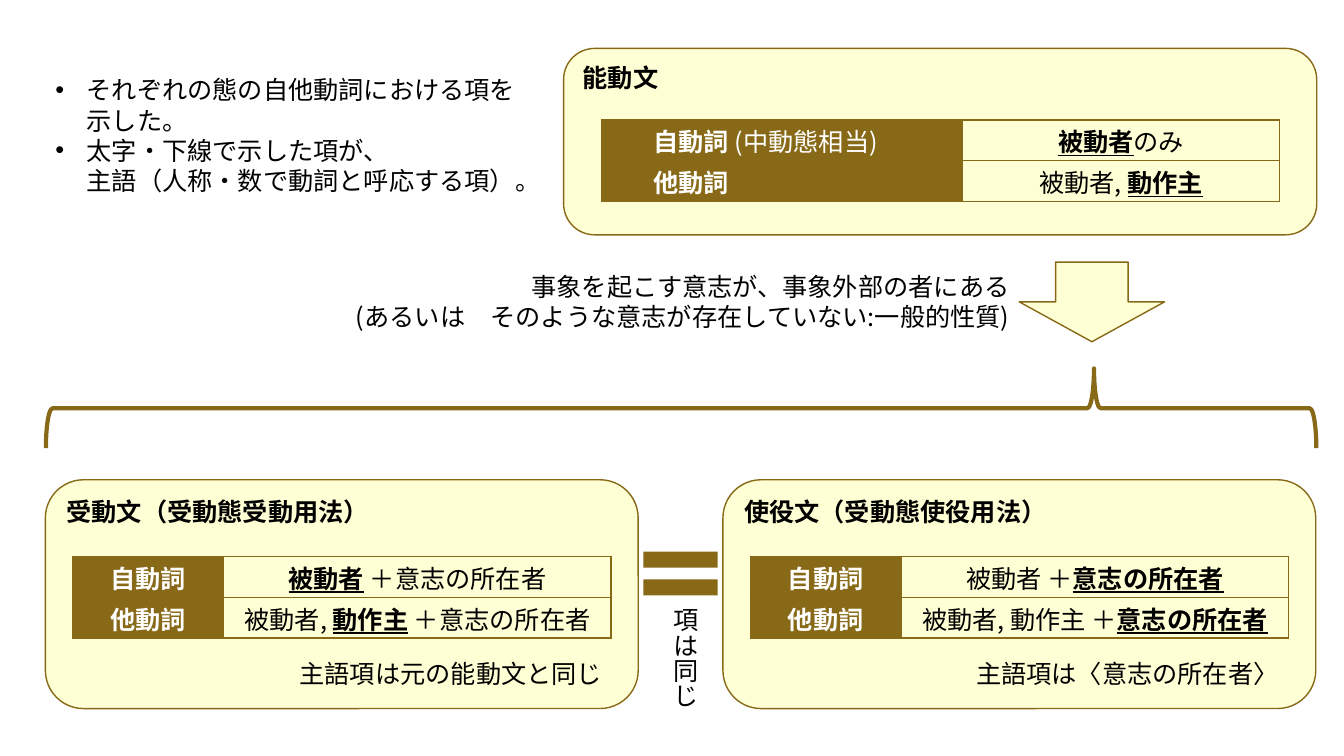
from dataclasses import dataclass

from lxml.etree import SubElement
from pptx import Presentation
from pptx.dml.color import RGBColor
from pptx.enum.shapes import MSO_SHAPE
from pptx.enum.text import MSO_ANCHOR, MSO_AUTO_SIZE, PP_ALIGN
from pptx.oxml.ns import qn
from pptx.util import Inches, Pt

COLORS = {"cream": "FFFFD5", "brown": "876917", "black": "000000", "white": "FFFFFF"}
FONT_NAME = "Noto Sans CJK JP"
FONT_SIZE = 18
RUN_STYLES = {
    "plain": {"bold": False, "underline": False, "color": "black"},
    "heading": {"bold": True, "underline": False, "color": "black"},
    "subject": {"bold": True, "underline": True, "color": "black"},
    "verb": {"bold": True, "underline": False, "color": "white"},
    "verb note": {"bold": False, "underline": False, "color": "white"},
}
CELL_MARGINS = {"margin_left": 0.01, "margin_right": 0.01, "margin_top": 0.01, "margin_bottom": 0}
ROW_HEIGHT = 0.405


@dataclass
class Run:
    text: str
    style: str = "plain"


@dataclass
class Box:
    left: float
    top: float
    width: float
    height: float

    def lengths(self):
        return [Inches(value) for value in (self.left, self.top, self.width, self.height)]


@dataclass
class Panel:
    heading: str
    box: Box
    table_left: float
    table_top: float
    column_widths: list[float]
    rows: list[list[list[Run]]]
    verb_indent: float = 0
    note: str = ""
    note_left: float = 0


def rgb(name: str) -> RGBColor:
    return RGBColor.from_string(COLORS[name])


def write(paragraph, runs: list[Run], alignment=PP_ALIGN.LEFT) -> None:
    """Fill a paragraph with styled runs, turning newlines into line breaks."""
    paragraph.alignment = alignment
    for part in runs:
        for number, line in enumerate(part.text.split("\n")):
            if number:
                paragraph.add_line_break()
            run = paragraph.add_run()
            run.text = line
            style = RUN_STYLES[part.style]
            formats = {"name": FONT_NAME, "size": Pt(FONT_SIZE),
                       "bold": style["bold"], "underline": style["underline"]}
            for attribute, value in formats.items():
                setattr(run.font, attribute, value)
            run.font.color.rgb = rgb(style["color"])
            SubElement(run.font._element, qn("a:ea"), typeface=FONT_NAME)
    for line_break in paragraph._p.findall(qn("a:br")):
        SubElement(line_break, qn("a:rPr"), sz=str(FONT_SIZE * 100))


def add_figure(slide, kind, box: Box, fill=None, line=None, line_width=1.0, adjustments=(), rotation=0):
    shape = slide.shapes.add_shape(kind, *box.lengths())
    shape.shadow.inherit = False
    shape.rotation = rotation
    for number, value in enumerate(adjustments):
        shape.adjustments[number] = value
    if fill:
        shape.fill.solid()
        shape.fill.fore_color.rgb = rgb(fill)
    else:
        shape.fill.background()
    if line:
        shape.line.color.rgb = rgb(line)
        shape.line.width = Pt(line_width)
    else:
        shape.line.fill.background()
    return shape


def add_label(slide, text: str, box: Box, alignment=PP_ALIGN.LEFT, vertical=False) -> None:
    frame = slide.shapes.add_textbox(*box.lengths()).text_frame
    frame.word_wrap = False
    if vertical:
        frame._txBody.bodyPr.set("vert", "eaVert")
    write(frame.paragraphs[0], [Run(text)], alignment)


def add_borders(cell) -> None:
    properties = cell._tc.get_or_add_tcPr()
    for side in ("L", "R", "T", "B"):
        border = SubElement(properties, qn(f"a:ln{side}"), w=str(Pt(1)))
        fill = SubElement(border, qn("a:solidFill"))
        SubElement(fill, qn("a:srgbClr"), val=COLORS["brown"])


def add_verb_table(slide, panel: Panel) -> None:
    box = Box(panel.table_left, panel.table_top, sum(panel.column_widths), ROW_HEIGHT * len(panel.rows))
    table = slide.shapes.add_table(len(panel.rows), len(panel.column_widths), *box.lengths()).table
    table.first_row = table.horz_banding = False
    for column, width in zip(table.columns, panel.column_widths):
        column.width = Inches(width)
    for row_number, row in enumerate(panel.rows):
        for column_number, runs in enumerate(row):
            cell = table.cell(row_number, column_number)
            for attribute, value in CELL_MARGINS.items():
                setattr(cell, attribute, Inches(value))
            cell.vertical_anchor = MSO_ANCHOR.MIDDLE
            add_borders(cell)
            is_verb = column_number == 0
            if is_verb:
                cell.fill.solid()
                cell.fill.fore_color.rgb = rgb("brown")
            else:
                cell.fill.background()
            paragraph = cell.text_frame.paragraphs[0]
            indented = is_verb and panel.verb_indent
            write(paragraph, runs, PP_ALIGN.LEFT if indented else PP_ALIGN.CENTER)
            if indented:
                paragraph._p.get_or_add_pPr().set("marL", str(Inches(panel.verb_indent)))


def add_panel(slide, panel: Panel) -> None:
    shape = add_figure(slide, MSO_SHAPE.ROUNDED_RECTANGLE, panel.box, "cream", "brown")
    shape.text_frame.vertical_anchor = MSO_ANCHOR.TOP
    write(shape.text_frame.paragraphs[0], [Run(panel.heading, "heading")])
    add_verb_table(slide, panel)
    if panel.note:
        add_label(slide, panel.note, Box(panel.note_left, 6.48, 3.23, 0.4), PP_ALIGN.RIGHT)


def fill_list(body, box: Box, items: list[str]) -> None:
    body.left, body.top, body.width, body.height = box.lengths()
    frame = body.text_frame
    frame.auto_size = MSO_AUTO_SIZE.NONE
    frame.word_wrap = True
    frame.vertical_anchor = MSO_ANCHOR.TOP
    for number, item in enumerate(items):
        paragraph = frame.add_paragraph() if number else frame.paragraphs[0]
        write(paragraph, [Run(item)])
        for attribute, value in {"line_spacing": 1.0, "space_before": Pt(0), "space_after": Pt(0)}.items():
            setattr(paragraph, attribute, value)
        properties = paragraph._p.get_or_add_pPr()
        properties.set("marL", str(Inches(0.31)))
        properties.set("indent", str(-Inches(0.31)))
        SubElement(properties, qn("a:buFont"), typeface="Arial")
        SubElement(properties, qn("a:buChar"), char="•")


INTRANSITIVE, TRANSITIVE = Run("自動詞", "verb"), Run("他動詞", "verb")
PATIENT, AGENT = Run("被動者", "subject"), Run("動作主", "subject")
WILLER = Run("意志の所在者", "subject")
PLUS_WILLER = Run(" ＋意志の所在者")
LOWER_COLUMNS = [1.5, 3.84]

PANELS = [
    Panel("能動文", Box(5.59, 0.48, 7.47, 1.85), 5.97, 1.19, [3.58, 3.14],
          [[[Run("自動詞 ", "verb"), Run("(中動態相当)", "verb note")], [PATIENT, Run("のみ")]],
           [[TRANSITIVE], [Run("被動者, "), AGENT]]], verb_indent=0.5),
    Panel("受動文（受動態受動用法）", Box(0.45, 4.76, 5.88, 2.27), 0.72, 5.52, LOWER_COLUMNS,
          [[[INTRANSITIVE], [PATIENT, PLUS_WILLER]],
           [[TRANSITIVE], [Run("被動者, "), AGENT, PLUS_WILLER]]],
          note="主語項は元の能動文と同じ", note_left=2.84),
    Panel("使役文（受動態使役用法）", Box(7.17, 4.76, 5.88, 2.27), 7.44, 5.52, LOWER_COLUMNS,
          [[[INTRANSITIVE], [Run("被動者 ＋"), WILLER]],
           [[TRANSITIVE], [Run("被動者, 動作主 ＋"), WILLER]]],
          note="主語項は〈意志の所在者〉", note_left=9.55),
]

presentation = Presentation()
presentation.slide_width, presentation.slide_height = Inches(13.33), Inches(7.5)
slide = presentation.slides.add_slide(presentation.slide_layouts[1])

# Reading guide in the body placeholder; the slide has no title
title = slide.shapes.title
title.element.getparent().remove(title.element)
fill_list(slide.placeholders[1], Box(0.45, 0.69, 4.92, 1.31),
          ["それぞれの態の自他動詞における項を\n示した。",
           "太字・下線で示した項が、\n主語（人称・数で動詞と呼応する項）。"])

# Sentence types with their verb tables
for panel in PANELS:
    add_panel(slide, panel)

# Derivation from the active sentence
add_figure(slide, MSO_SHAPE.DOWN_ARROW, Box(10.11, 2.6, 1.44, 0.79), "cream", "brown")
add_label(slide, "事象を起こす意志が、事象外部の者にある\n(あるいは　そのような意志が存在していない:一般的性質)",
          Box(3.09, 2.64, 7.02, 0.71), PP_ALIGN.RIGHT)
add_figure(slide, MSO_SHAPE.LEFT_BRACE, Box(6.36, -2.25, 0.79, 12.6), line="brown", line_width=3,
           adjustments=(0.083, 0.175), rotation=90)

# Equality of the two derived sentences
add_figure(slide, MSO_SHAPE.MATH_EQUAL, Box(6.25, 5.19, 1, 1), "brown", adjustments=(0.158, 0.118))
add_label(slide, "項は同じ", Box(6.5, 5.93, 0.5, 1.11), vertical=True)

presentation.save("out.pptx")
